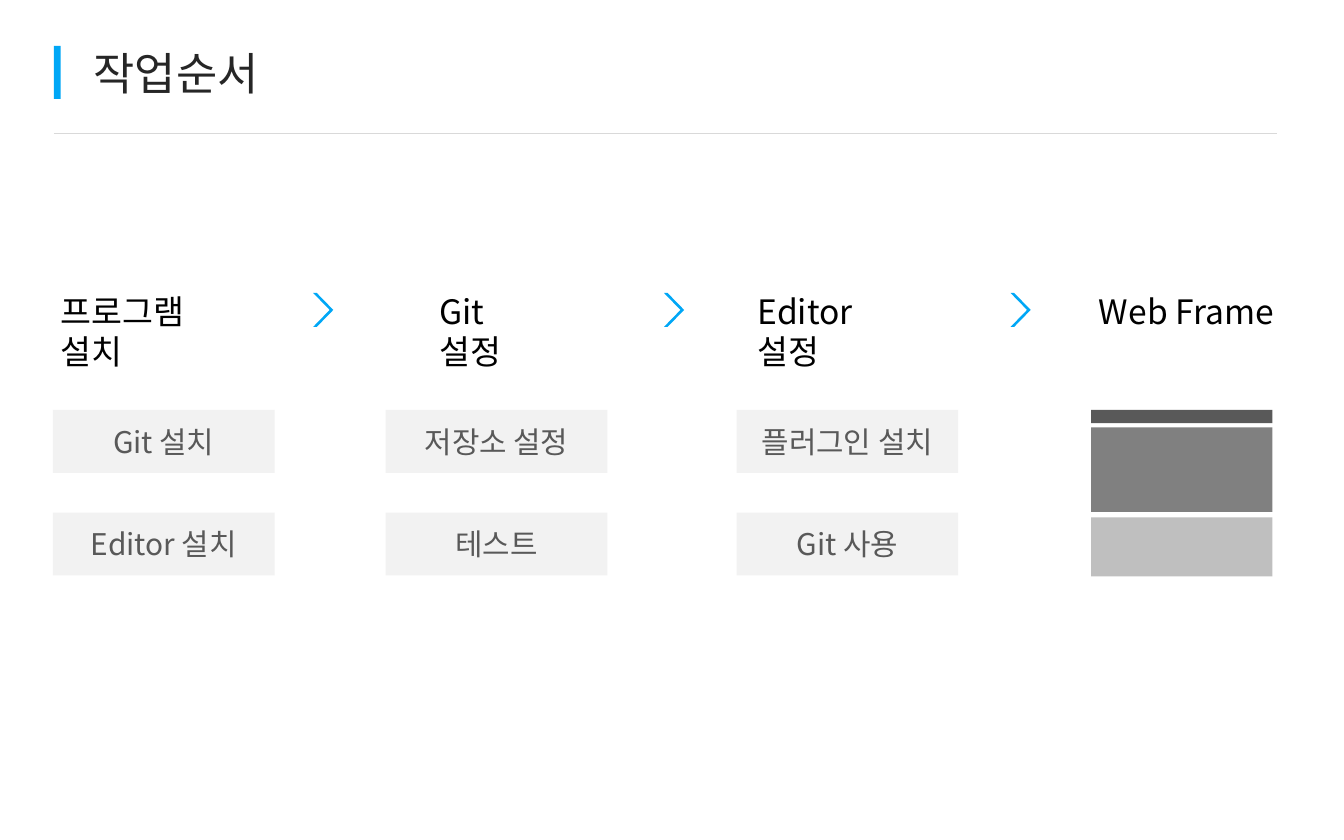
from lxml import etree
from pptx import Presentation, util as u
from pptx.dml.color import RGBColor
from pptx.enum import shapes, text
from pptx.oxml.ns import qn

FONT = "Noto Sans CJK KR"
BLUE = "00A7F6"


def add_block(kind, left, top, width, height, color):
    block = slide.shapes.add_shape(kind, u.Cm(left), u.Cm(top), u.Cm(width), u.Cm(height))
    block.shadow.inherit = False
    block.fill.solid()
    block.fill.fore_color.rgb = RGBColor.from_string(color)
    block.line.fill.background()
    return block


def write(shape, words, size, color, anchor, align):
    """Put one paragraph in the shape, with a line break at each newline."""
    frame = shape.text_frame
    frame.word_wrap = True
    frame.vertical_anchor = anchor
    paragraph = frame.paragraphs[0]
    paragraph.alignment = align
    for number, line in enumerate(words.split("\n")):
        if number:
            paragraph.add_line_break()
        run = paragraph.add_run()
        run.text = line
        run.font.size = u.Pt(size)
        run.font.name = FONT
        run.font.color.rgb = RGBColor.from_string(color)
        east_asian = etree.SubElement(run.font._element, qn("a:ea"))
        east_asian.set("typeface", FONT)
    return paragraph


prs = Presentation()
prs.slide_width, prs.slide_height = u.Cm(25.4), u.Cm(15.88)
slide = prs.slides.add_slide(prs.slide_layouts[6])
RECT = shapes.MSO_SHAPE.RECTANGLE

# Title with its accent bar and rule
add_block(RECT, 1.02, 0.87, 0.13, 1, BLUE)
rule = slide.shapes.add_connector(
    shapes.MSO_CONNECTOR.STRAIGHT, u.Cm(1.02), u.Cm(2.52), u.Cm(24.13), u.Cm(2.52))
rule.line.color.rgb = RGBColor.from_string("D9D9D9")
rule.line.width = u.Pt(0.75)
etree.SubElement(rule._element.spPr, qn("a:effectLst"))
title = slide.shapes.add_textbox(u.Cm(1.52), u.Cm(0.53), u.Cm(20.78), u.Cm(1.7))
write(title, "작업순서", 24, "262626", text.MSO_ANCHOR.MIDDLE, text.PP_ALIGN.LEFT)

# Stage headings
for left, heading in [(0.89, "프로그램\n설치"), (8.05, "Git\n설정"),
                      (14.07, "Editor\n설정"), (20.52, "Web Frame")]:
    stage = slide.shapes.add_textbox(u.Cm(left), u.Cm(5.37), u.Cm(4.1), u.Cm(1.02))
    paragraph = write(stage, heading, 18, "000000", text.MSO_ANCHOR.TOP, text.PP_ALIGN.LEFT)
    paragraph.line_spacing = u.Pt(21.6)

# Two tasks under each of the first three stages
for left, tasks in [(1, ["Git 설치", "Editor 설치"]),
                    (7.29, ["저장소 설정", "테스트"]),
                    (13.92, ["플러그인 설치", "Git 사용"])]:
    for row, task in enumerate(tasks):
        task_box = add_block(RECT, left, 7.75 + row * 1.94, 4.19, 1.19, "F2F2F2")
        write(task_box, task, 16, "595959", text.MSO_ANCHOR.MIDDLE, text.PP_ALIGN.CENTER)

# Arrows between the stages
for left in (5.92, 12.55, 19.1):
    arrow = add_block(shapes.MSO_SHAPE.CHEVRON, left, 5.54, 0.38, 0.64, BLUE)
    arrow.adjustments[0] = 0.82

# Web page sketch: header, body, footer
for top, height, color in [(7.75, 0.25, "595959"), (8.08, 1.6, "808080"), (9.78, 1.12, "BFBFBF")]:
    add_block(RECT, 20.62, top, 3.43, height, color)

prs.save("out.pptx")
